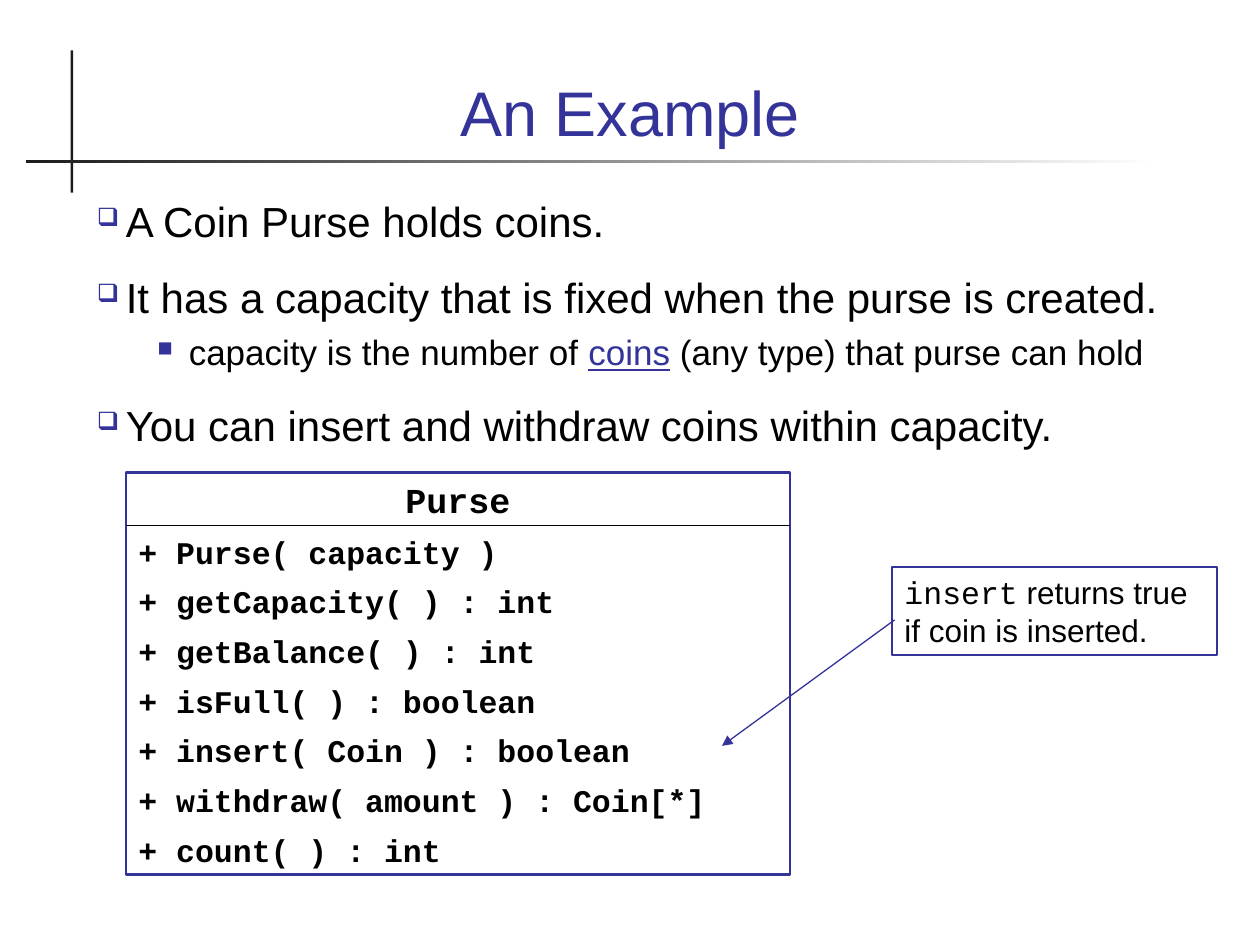
"""Build the coin purse example slide with its class box and callout."""
from pptx import Presentation
from pptx.dml.color import RGBColor as Rgb
from pptx.enum.shapes import MSO_CONNECTOR as Conn, MSO_SHAPE as Kind
from pptx.enum.text import MSO_ANCHOR as Anchor, PP_ALIGN as Align
from pptx.oxml.ns import qn
from pptx.util import Inches, Pt
from lxml.etree import SubElement as Sub

HUES = {"blue": "333399", "black": "000000", "dark": "1C1C1C", "white": "FFFFFF"}
SANS, MONO = "Arial", "Courier New"

TITLE = "An Example"
POINTS = [
    (0, ["A Coin Purse holds coins."]),
    (0, ["It has a capacity that is fixed when the purse is created."]),
    (1, ["capacity is the number of ", "coins", " (any type) that purse can hold"]),
    (0, ["You can insert and withdraw coins within capacity."]),
]
LEVELS = [
    {"mark": "❑", "left": 0.23, "hang": 0.23, "size": 24, "gap": 15},
    {"mark": "■", "left": 0.73, "hang": 0.25, "size": 20, "gap": 5},
]
LINKED = "coins"
NAME = "Purse"
METHODS = [
    "+ Purse( capacity )",
    "+ getCapacity( ) : int",
    "+ getBalance( ) : int",
    "+ isFull( ) : boolean",
    "+ insert( Coin ) : boolean",
    "+ withdraw( amount ) : Coin[*]",
    "+ count( ) : int",
]
NOTE = ["insert", " returns true if coin is inserted."]


def hue(name):
    return Rgb.from_string(HUES[name])


def place(*spot):
    return [Inches(n) for n in spot]


def style(font, size, face=SANS, tint="black", bold=False):
    font.size, font.name, font.bold = Pt(size), face, bold
    font.color.rgb = hue(tint)


def write(para, parts, size, gap=0, align=Align.LEFT, **look):
    para.alignment, para.space_before = align, Pt(gap)
    style(para.font, size, **look)
    for part in parts:
        para.add_run().text = part


def paras(frame, count):
    return [frame.paragraphs[0]] + [frame.add_paragraph() for _ in range(count - 1)]


def text(slide, spot, anchor=Anchor.TOP):
    frame = slide.shapes.add_textbox(*place(*spot)).text_frame
    frame.word_wrap, frame.vertical_anchor = True, anchor
    return frame


def bar(slide, spot):
    shape = slide.shapes.add_shape(Kind.RECTANGLE, *place(*spot))
    shape.shadow.inherit = False
    shape.line.fill.background()
    return shape.fill


def box(slide, spot, width):
    shape = slide.shapes.add_shape(Kind.RECTANGLE, *place(*spot))
    shape.shadow.inherit = False
    shape.fill.background()
    shape.line.color.rgb, shape.line.width = hue("blue"), Pt(width)
    frame = shape.text_frame
    frame.word_wrap, frame.vertical_anchor = True, Anchor.TOP
    return frame


def rule(slide, start, end, tint, arrow=False):
    link = slide.shapes.add_connector(Conn.STRAIGHT, *place(*start, *end))
    link.line.color.rgb, link.line.width = hue(tint), Pt(0.75)
    if arrow:
        Sub(link.line._get_or_add_ln(), qn("a:tailEnd"), type="triangle")
    Sub(link._element.spPr, qn("a:effectLst"))


def bullet(para, mark, left, hang):
    props = para._p.get_or_add_pPr()
    props.set("marL", str(Inches(left)))
    props.set("indent", str(-Inches(hang)))
    Sub(Sub(props, qn("a:buClr")), qn("a:srgbClr"), val=HUES["blue"])
    Sub(props, qn("a:buSzPct"), val="60000")
    Sub(props, qn("a:buChar"), char=mark)


def frame_lines(slide):
    tall = bar(slide, (0.56, 0.4, 0.02, 1.13))
    tall.solid()
    tall.fore_color.rgb = hue("dark")
    fade = bar(slide, (0.21, 1.27, 8.98, 0.02))
    fade.gradient()
    fade.gradient_angle = 180
    for stop, tint in zip(fade.gradient_stops, ("white", "dark")):
        stop.color.rgb = hue(tint)


def points(slide):
    frame = text(slide, (0.67, 1.5, 8.66, 2.25))
    for num, (para, (depth, parts)) in enumerate(zip(paras(frame, len(POINTS)), POINTS)):
        level = LEVELS[depth]
        para.level = depth
        bullet(para, level["mark"], level["left"], level["hang"])
        write(para, parts, level["size"], level["gap"] if num else 0)
        for run in para.runs:
            if run.text == LINKED:
                run.font.underline = True
                run.font.color.rgb = hue("blue")


def purse(slide):
    left, top, wide, high = 1, 3.75, 5.27, 3.19
    frame = box(slide, (left, top, wide, high), 1.5)
    head, *rows = paras(frame, len(METHODS) + 1)
    write(head, [NAME], 20, align=Align.CENTER, face=MONO, bold=True)
    for para, method in zip(rows, METHODS):
        write(para, [method], 18, 6.8, face=MONO, bold=True)
    split = top + 0.42
    rule(slide, (left, split), (left + wide, split), "black")


def note(slide):
    para = box(slide, (7.08, 4.5, 2.58, 0.7), 0.75).paragraphs[0]
    write(para, NOTE, 18)
    para.runs[0].font.name = MONO
    rule(slide, (7.1, 4.92), (5.73, 5.92), "blue", arrow=True)


def main():
    deck = Presentation()
    deck.slide_width, deck.slide_height = place(10, 7.5)
    slide = deck.slides.add_slide(deck.slide_layouts[6])
    frame_lines(slide)
    head = text(slide, (0.67, 0.28, 8.66, 0.95), Anchor.BOTTOM).paragraphs[0]
    write(head, [TITLE], 36, align=Align.CENTER, tint="blue")
    points(slide)
    purse(slide)
    note(slide)
    deck.save("out.pptx")


if __name__ == "__main__":
    main()
